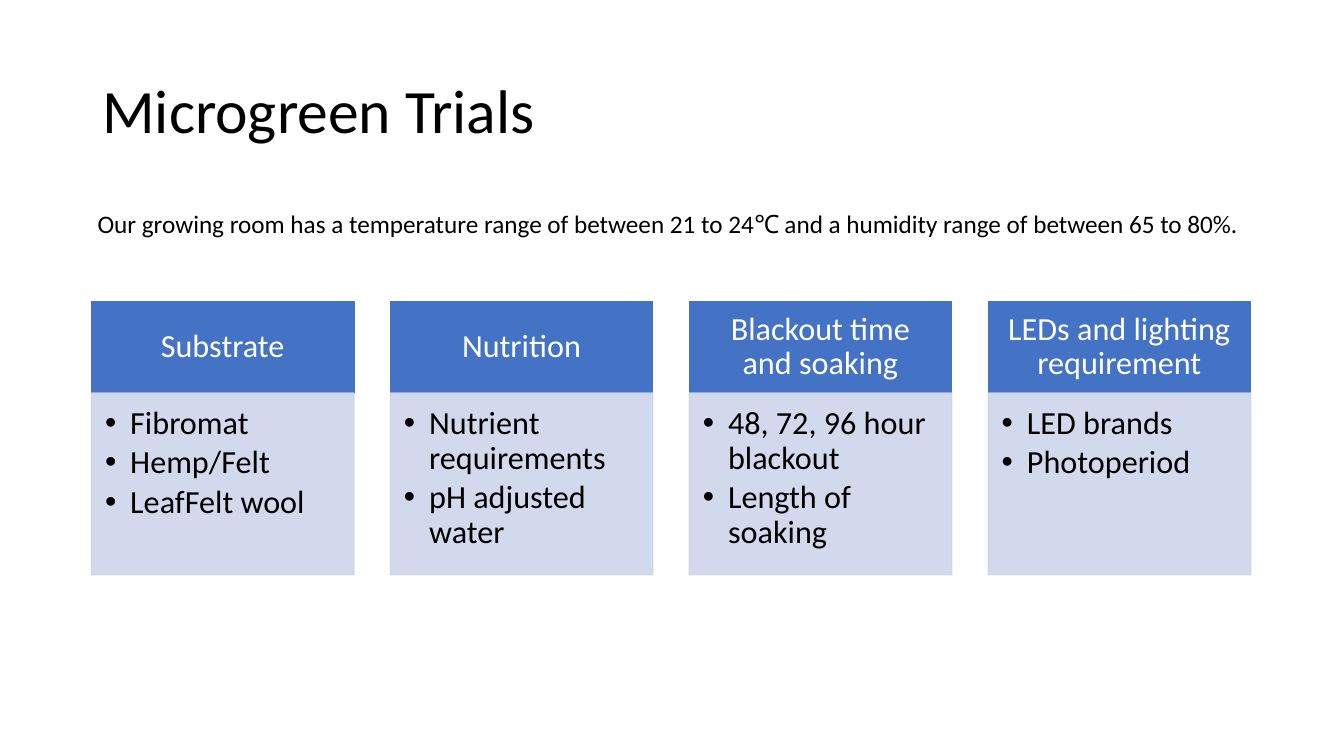
from lxml import etree
from pptx import Presentation
from pptx import util as u
from pptx.dml.color import RGBColor
from pptx.enum import shapes, text
from pptx.oxml import ns

Pt = u.Pt


def hue(code):
    """Turn a hex string into a colour."""
    return RGBColor.from_string(code)


def apply(obj, vals):
    """Set each format value on an object."""
    for key, val in vals.items():
        setattr(obj, key, val)


class Deck:
    """Holds the style and the current slide."""

    font, ink, pale, blue, white = "Calibri", "000000", "CFD5EA", "4472C4", "FFFFFF"

    def __init__(self):
        """Open a wide deck with one blank slide."""
        self.prs = Presentation()
        apply(self.prs, {"slide_width": Pt(960), "slide_height": Pt(540)})
        self.slide = self.prs.slides.add_slide(self.prs.slide_layouts[6])

    def fill_in(self, shape, lines, size, color, pads, anchor="TOP", align="LEFT",
                bullet=False, lead=0.9):
        """Fill a shape with paragraphs."""
        frame = shape.text_frame
        sides = ("margin_left", "margin_top", "margin_right", "margin_bottom")
        apply(frame, dict(zip(sides, map(Pt, pads))))
        apply(frame, {"word_wrap": True,
                      "vertical_anchor": getattr(text.MSO_ANCHOR, anchor)})
        for i, line in enumerate(lines):
            para = frame.add_paragraph() if i else frame.paragraphs[0]
            apply(para, {"alignment": getattr(text.PP_ALIGN, align),
                         "line_spacing": lead})
            if bullet:
                self.mark(para)
            run = para.add_run()
            run.text = line
            apply(run.font, {"size": Pt(size), "name": self.font})
            run.font.color.rgb = hue(color)

    def mark(self, para):
        """Give a paragraph a bullet and a hanging indent."""
        para.space_after = Pt(3.4)
        props = para._p.get_or_add_pPr()
        props.set("marL", str(Pt(18)))
        props.set("indent", str(-Pt(18)))
        etree.SubElement(props, ns.qn("a:buFont")).set("typeface", "Arial")
        etree.SubElement(props, ns.qn("a:buChar")).set("char", "•")

    def label(self, box, line, size, **style):
        """Add a text box with one line."""
        shape = self.slide.shapes.add_textbox(*map(Pt, box))
        self.fill_in(shape, [line], size, self.ink, (7.2, 3.6, 7.2, 3.6), **style)

    def panel(self, box, fill, lines, color, pads, alpha=100, **style):
        """Add a filled box with text."""
        shape = self.slide.shapes.add_shape(shapes.MSO_SHAPE.RECTANGLE, *map(Pt, box))
        shape.shadow.inherit = False
        shape.fill.solid()
        shape.line.width = Pt(1)
        for paint in (shape.fill.fore_color, shape.line.color):
            paint.rgb = hue(fill)
        if alpha < 100:
            for node in shape._element.spPr.iter(ns.qn("a:srgbClr")):
                etree.SubElement(node, ns.qn("a:alpha")).set("val", str(alpha * 1000))
        self.fill_in(shape, lines, 23, color, pads, **style)


TRIALS = {
    "Substrate": ["Fibromat", "Hemp/Felt", "LeafFelt wool"],
    "Nutrition": ["Nutrient requirements", "pH adjusted water"],
    "Blackout time and soaking": ["48, 72, 96 hour blackout", "Length of soaking"],
    "LEDs and lighting requirement": ["LED brands", "Photoperiod"],
}
LEFT, TOP, WIDE, STEP = 65.4, 215.2, 187.4, 213.5
HEAD, BODY = 65.6, 129.8

deck = Deck()
deck.label((66, 28.8, 828, 104.4), "Microgreen Trials", 44, anchor="MIDDLE")
for col, (head, items) in enumerate(TRIALS.items()):
    x = LEFT + col * STEP
    deck.panel((x, TOP, WIDE, HEAD), deck.blue, [head], deck.white,
               (12.8, 7.3, 12.8, 7.3), anchor="MIDDLE", align="CENTER")
    deck.panel((x, TOP + HEAD, WIDE, BODY), deck.pale, items, deck.ink,
               (9.6, 9.6, 12.8, 14.4), alpha=90, bullet=True)
deck.label((62.6, 145.4, 849.6, 29), "Our growing room has a temperature range of "
           "between 21 to 24℃ and a humidity range of between 65 to 80%.", 18, lead=1.0)
deck.prs.save("out.pptx")
